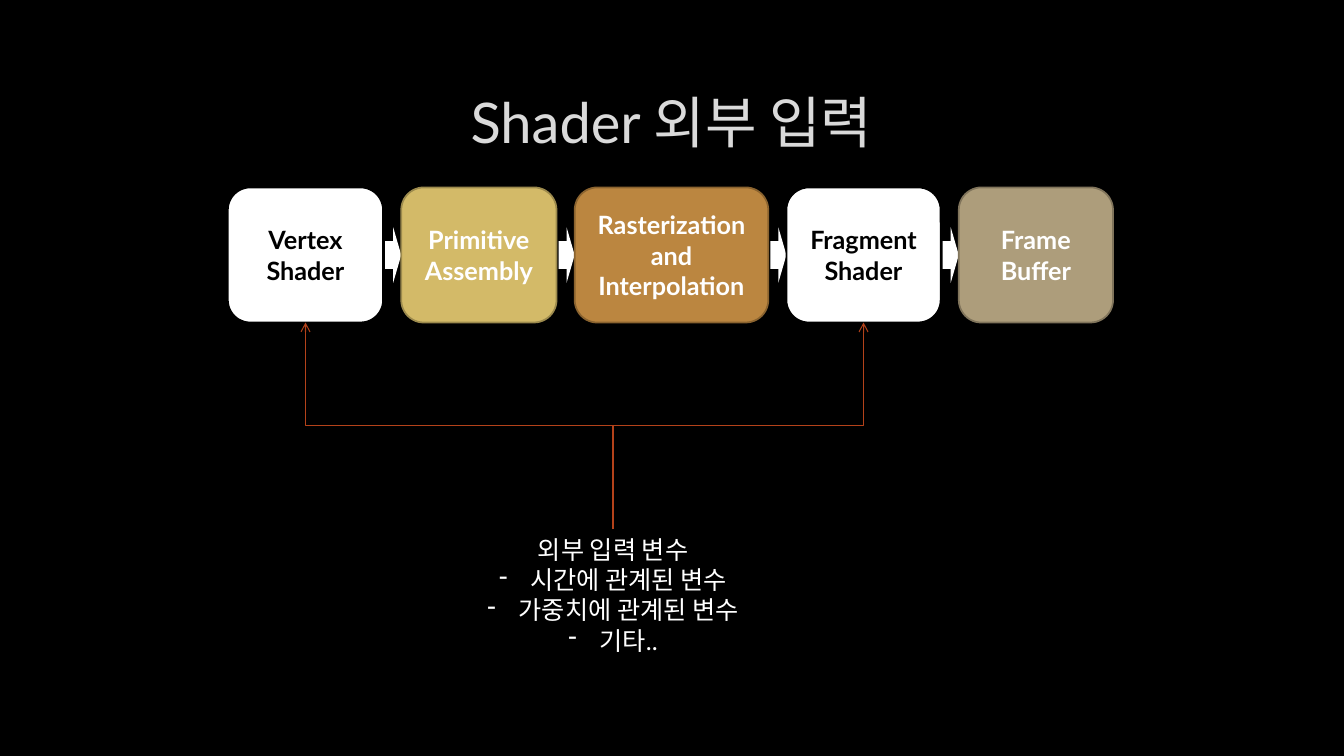
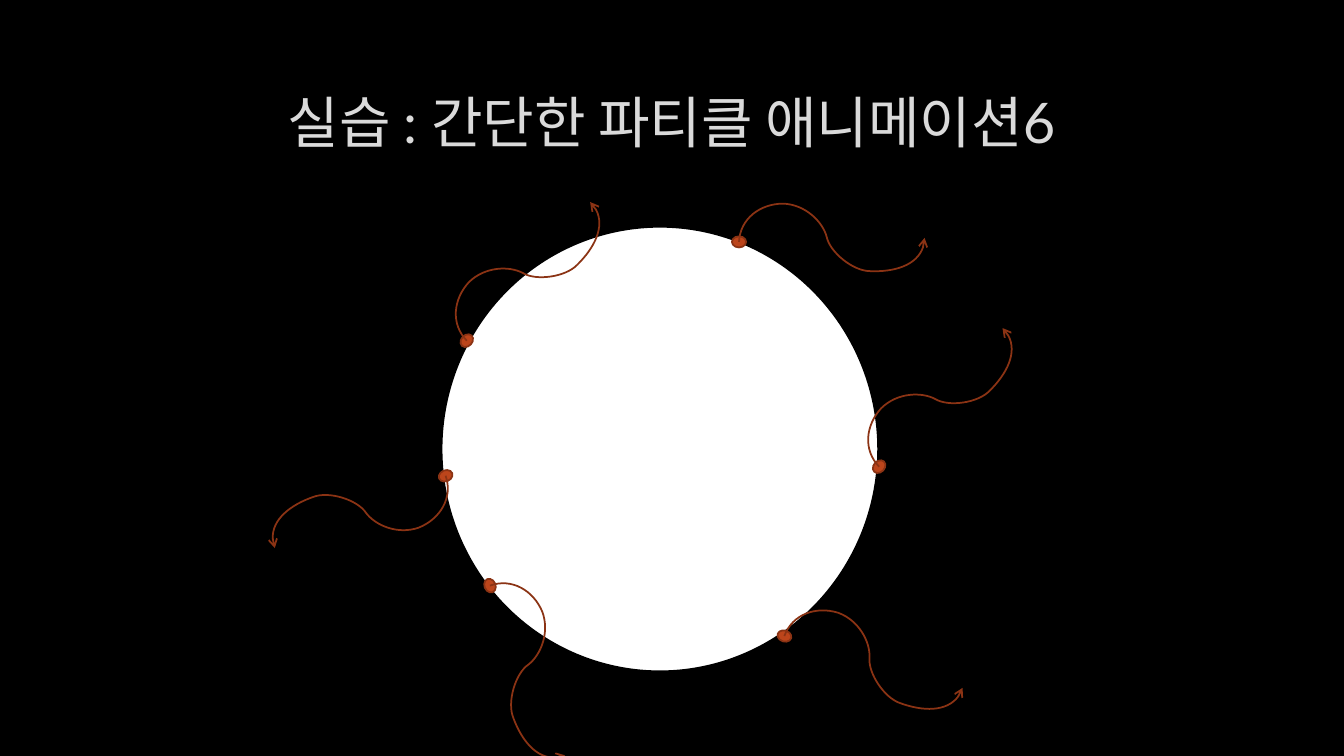
import math

from lxml import etree
from pptx import Presentation
from pptx.dml.color import RGBColor
from pptx.enum import shapes, text
from pptx.oxml import ns
from pptx.util import Inches, Pt

FONT = "Lato"
BLACK = RGBColor(0x00, 0x00, 0x00)
WHITE = RGBColor(0xFF, 0xFF, 0xFF)
TITLE_GRAY = RGBColor(0xDA, 0xDA, 0xDA)
YELLOW = RGBColor(0xD3, 0xBA, 0x68)
YELLOW_EDGE = RGBColor(0x9C, 0x8A, 0x4D)
ORANGE = RGBColor(0xBB, 0x86, 0x40)
ORANGE_EDGE = RGBColor(0x8A, 0x63, 0x2F)
TAN = RGBColor(0xAD, 0x9D, 0x7B)
TAN_EDGE = RGBColor(0x80, 0x74, 0x5B)
INPUT_RED = RGBColor(0xB4, 0x42, 0x1A)
DOT_RED = RGBColor(0xBC, 0x45, 0x1B)
TRAIL_RED = RGBColor(0x8B, 0x33, 0x14)

PIPELINE_TITLE = "Shader 외부 입력"
# label, width, fill, edge, text colour, takes external input
STAGES = [
    ("Vertex Shader", 1.54, WHITE, BLACK, BLACK, True),
    ("Primitive Assembly", 1.54, YELLOW, YELLOW_EDGE, WHITE, False),
    ("Rasterization and Interpolation", 1.92, ORANGE, ORANGE_EDGE, WHITE, False),
    ("Fragment Shader", 1.53, WHITE, BLACK, BLACK, True),
    ("Frame Buffer", 1.53, TAN, TAN_EDGE, WHITE, False),
]
STAGE_LEFT, STAGE_TOP, STAGE_HEIGHT, STAGE_GAP = 2.26, 1.86, 1.34, 0.18
ARROW_WIDTH, ARROW_HEIGHT = 0.16, 0.55

INPUT_HEADING = "외부 입력 변수"
INPUT_ITEMS = ["시간에 관계된 변수", "가중치에 관계된 변수", "기타.."]
INPUT_LEFT, INPUT_TOP, INPUT_WIDTH, INPUT_HEIGHT = 4.07, 5.25, 4.02, 1.31

PARTICLE_TITLE = "실습 : 간단한 파티클 애니메이션6"
# x, y and direction in degrees of each particle
PARTICLES = [
    (4.63, 3.38, 312.9),
    (4.42, 4.72, 158.3),
    (4.86, 5.81, 67.4),
    (7.78, 6.31, 17.5),
    (7.33, 2.40, 0),
    (8.72, 4.63, 312.9),
]
# Bezier control points of a trail, relative to its particle
TRAIL = [
    (0.01, -0.23), (0.21, -0.38), (0.44, -0.38),
    (0.66, -0.37), (0.83, -0.20), (0.87, -0.05),
    (0.90, 0.10), (1.13, 0.29), (1.30, 0.29),
    (1.53, 0.30), (1.84, 0.22), (1.84, -0.04),
]
DOT_WIDTH, DOT_HEIGHT = 0.14, 0.11


def add_page(deck, title):
    page = deck.slides.add_slide(deck.slide_layouts[5])
    box = page.shapes.title
    box.left, box.top = Inches(1), Inches(0.67)
    box.width, box.height = Inches(11.32), Inches(1.06)
    box.text_frame.text = title
    box.text_frame.vertical_anchor = text.MSO_ANCHOR.MIDDLE
    style(box.text_frame.paragraphs[0], TITLE_GRAY, 40)
    return page


def style(para, color, size=18, bold=False):
    para.alignment = text.PP_ALIGN.CENTER
    para.font.name, para.font.size, para.font.bold = FONT, Pt(size), bold
    para.font.color.rgb = color


def add_shape(parent, kind, left, top, width, height, fill, edge=None):
    shape = parent.shapes.add_shape(
        kind, Inches(left), Inches(top), Inches(width), Inches(height))
    shape.shadow.inherit = False
    shape.fill.solid()
    shape.fill.fore_color.rgb = fill
    if edge is None:
        shape.line.fill.background()
    else:
        set_line(shape.line, edge, 1.25)
    return shape


def set_line(line, color, width, arrow=False):
    line.color.rgb = color
    line.width = Pt(width)
    if arrow:
        etree.SubElement(line._get_or_add_ln(), ns.qn("a:tailEnd"), type="arrow")


def add_input_line(page, start_x, start_y, end_x, end_y):
    """Draw an elbow arrow that leaves upwards, by a quarter turn of the preset."""
    rise, run = start_y - end_y, abs(end_x - start_x)
    left = (start_x + end_x - rise) / 2
    top = (start_y + end_y - run) / 2
    ends = (top, top + run) if end_x > start_x else (top + run, top)
    link = page.shapes.add_connector(
        shapes.MSO_CONNECTOR.ELBOW, Inches(left), Inches(ends[0]),
        Inches(left + rise), Inches(ends[1]))
    properties = link._element.spPr
    properties.find(ns.qn("a:xfrm")).set("rot", str(270 * 60000))
    set_line(link.line, INPUT_RED, 0.75, arrow=True)
    etree.SubElement(properties, ns.qn("a:effectLst"))


def add_input_list(page):
    box = page.shapes.add_textbox(
        Inches(INPUT_LEFT), Inches(INPUT_TOP), Inches(INPUT_WIDTH), Inches(INPUT_HEIGHT))
    frame = box.text_frame
    frame.word_wrap = True
    frame.text = "\n".join([INPUT_HEADING] + INPUT_ITEMS)
    for para in frame.paragraphs:
        style(para, WHITE)
    indent = Inches(0.31)
    for para in frame.paragraphs[1:]:
        properties = para._p.get_or_add_pPr()
        properties.set("marL", str(indent))
        properties.set("indent", str(-indent))
        bullet = etree.Element(ns.qn("a:buChar"), char="-")
        properties.find(ns.qn("a:defRPr")).addprevious(bullet)


def build_pipeline(deck):
    page = add_page(deck, PIPELINE_TITLE)
    left = STAGE_LEFT
    input_targets = []
    for index, (label, width, fill, edge, color, takes_input) in enumerate(STAGES):
        if index:
            add_shape(page, shapes.MSO_SHAPE.RIGHT_ARROW, left - ARROW_WIDTH,
                      STAGE_TOP + (STAGE_HEIGHT - ARROW_HEIGHT) / 2,
                      ARROW_WIDTH, ARROW_HEIGHT, WHITE)
        stage = add_shape(page, shapes.MSO_SHAPE.ROUNDED_RECTANGLE, left, STAGE_TOP,
                          width, STAGE_HEIGHT, fill, edge)
        stage.text_frame.text = label
        style(stage.text_frame.paragraphs[0], color, bold=True)
        if takes_input:
            input_targets.append(left + width / 2)
        left += width + STAGE_GAP
    add_input_list(page)
    for target in input_targets:
        add_input_line(page, INPUT_LEFT + INPUT_WIDTH / 2, INPUT_TOP,
                       target, STAGE_TOP + STAGE_HEIGHT)


def curve_segments(outline):
    """Turn each three line segments of a freeform into one Bezier curve."""
    lines = list(outline._element.iter(ns.qn("a:lnTo")))
    for start in range(0, len(lines), 3):
        curve = etree.Element(ns.qn("a:cubicBezTo"))
        lines[start].addprevious(curve)
        for line in lines[start:start + 3]:
            curve.append(line[0])
            line.getparent().remove(line)


def add_particle(page, x, y, degrees):
    group = page.shapes.add_group_shape()
    dot = add_shape(group, shapes.MSO_SHAPE.OVAL, x - DOT_WIDTH / 2, y - DOT_HEIGHT / 2,
                    DOT_WIDTH, DOT_HEIGHT, DOT_RED, TRAIL_RED)
    dot.rotation = degrees
    cos, sin = math.cos(math.radians(degrees)), math.sin(math.radians(degrees))
    points = [(Inches(x + dx * cos - dy * sin), Inches(y + dx * sin + dy * cos))
              for dx, dy in TRAIL]
    builder = group.shapes.build_freeform(Inches(x), Inches(y))
    builder.add_line_segments(points, close=False)
    trail = builder.convert_to_shape()
    curve_segments(trail)
    trail.shadow.inherit = False
    trail.fill.background()
    set_line(trail.line, TRAIL_RED, 1.25, arrow=True)


def build_particles(deck):
    page = add_page(deck, PARTICLE_TITLE)
    add_shape(page, shapes.MSO_SHAPE.OVAL, 4.38, 2.25, 4.33, 4.41, WHITE, BLACK)
    for x, y, degrees in PARTICLES:
        add_particle(page, x, y, degrees)


def main():
    deck = Presentation()
    deck.slide_width, deck.slide_height = Inches(13.33), Inches(7.5)
    background = deck.slide_master.background.fill
    background.solid()
    background.fore_color.rgb = BLACK
    build_pipeline(deck)
    build_particles(deck)
    deck.save("out.pptx")


if __name__ == "__main__":
    main()
